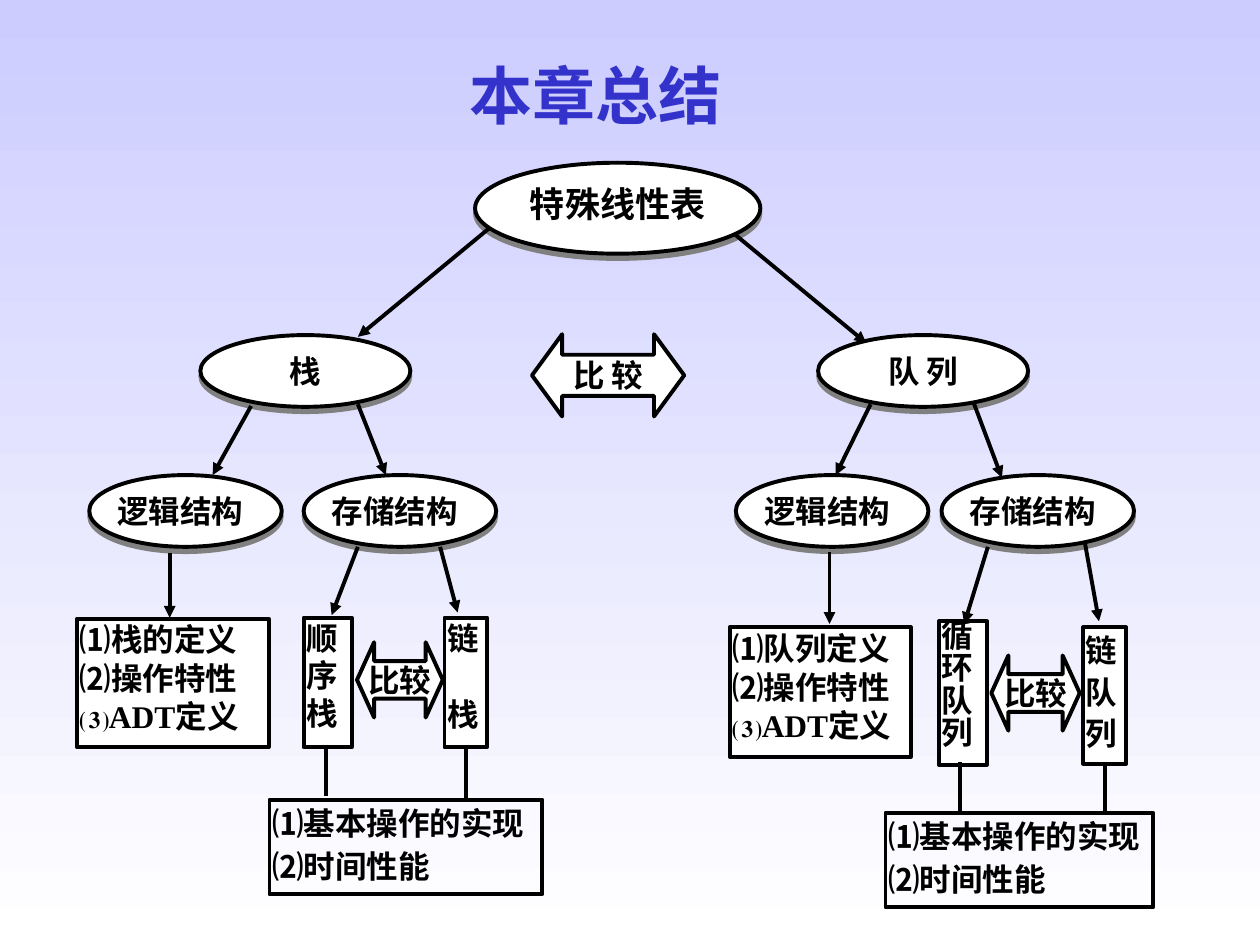
from lxml import etree
from pptx import Presentation
from pptx.dml.color import RGBColor
from pptx.enum import shapes, text
from pptx.oxml import parse_xml
from pptx.oxml.ns import nsdecls, qn
from pptx.util import Pt

BLACK = RGBColor(0x00, 0x00, 0x00)
WHITE = RGBColor(0xFF, 0xFF, 0xFF)
LAVENDER = RGBColor(0xCC, 0xCC, 0xFF)
TITLE_BLUE = RGBColor(0x33, 0x33, 0xCC)
SHADOW_GRAY = RGBColor(0x80, 0x80, 0x80)
FONT = "Times New Roman"
LINE_WIDTH = 2.25
LEFT, CENTER = text.PP_ALIGN.LEFT, text.PP_ALIGN.CENTER
TOP, MIDDLE = text.MSO_ANCHOR.TOP, text.MSO_ANCHOR.MIDDLE
KIND = shapes.MSO_SHAPE


def shadow_effect(distance, degrees):
    return parse_xml(
        f'<a:effectLst {nsdecls("a")}><a:outerShdw dist="{Pt(distance)}" '
        f'dir="{degrees * 60000}" algn="ctr" rotWithShape="0">'
        f'<a:srgbClr val="{SHADOW_GRAY}"/></a:outerShdw></a:effectLst>')


def write(shape, lines, size=18, color=BLACK, align=LEFT, anchor=TOP,
          inset=(1.5, 0.5), spacing=None, gap=0, wrap=True):
    frame = shape.text_frame
    frame.word_wrap = wrap
    frame.vertical_anchor = anchor
    frame.margin_left = frame.margin_right = Pt(inset[0])
    frame.margin_top = frame.margin_bottom = Pt(inset[1])
    for index, line in enumerate(lines):
        para = frame.add_paragraph() if index else frame.paragraphs[0]
        para.text = line
        para.alignment = align
        if spacing:
            para.line_spacing = spacing
        if index and gap:
            para.space_before = Pt(gap)
        font = para.font
        font.name, font.size, font.bold = FONT, Pt(size), True
        font.color.rgb = color


def add_node(page, kind, box, lines, filled=True, **style):
    shape = page.shapes.add_shape(kind, *map(Pt, box))
    shape.shadow.inherit = False
    if filled:
        shape.fill.solid()
        shape.fill.fore_color.rgb = WHITE
    else:
        shape.fill.background()
    shape.line.color.rgb = BLACK
    shape.line.width = Pt(LINE_WIDTH)
    write(shape, lines, **style)
    return shape


def add_ellipse(page, box, label, **style):
    shape = add_node(page, KIND.OVAL, box, [label], **style)
    properties = shape._element.spPr
    properties.replace(properties.find(qn("a:effectLst")), shadow_effect(3, 90))


def add_compare(page, box, label, head):
    arrow = add_node(page, KIND.LEFT_RIGHT_ARROW, box, [label], align=CENTER,
                     anchor=MIDDLE, inset=(0, 0), wrap=False)
    arrow.adjustments[0], arrow.adjustments[1] = 0.5, head


def add_link(page, x1, y1, x2, y2, arrow=True):
    link = page.shapes.add_connector(shapes.MSO_CONNECTOR.STRAIGHT,
                                     Pt(x1), Pt(y1), Pt(x2), Pt(y2))
    link.line.color.rgb = BLACK
    link.line.width = Pt(LINE_WIDTH)
    if arrow:
        etree.SubElement(link.line._get_or_add_ln(), qn("a:tailEnd"), type="triangle")
    etree.SubElement(link._element.spPr, qn("a:effectLst"))


def add_title(page, left, top, width, height):
    box = page.shapes.add_textbox(Pt(left), Pt(top), Pt(width), Pt(height))
    write(box, ["本章总结"], size=36, color=TITLE_BLUE, align=CENTER, inset=(7.2, 3.6))
    span = box.text_frame.paragraphs[0].runs[0]
    span.font.color.rgb = TITLE_BLUE
    span.font._element.find(qn("a:solidFill")).addnext(shadow_effect(2, 45))


def add_overview(page, left, top):
    """Root of the tree, the links to both branches and their comparison."""
    add_ellipse(page, (left, top, 163, 52), "特殊线性表", size=20, align=CENTER,
                inset=(7.2, 3.6))
    add_link(page, left + 8, top + 37.5, left - 67, top + 99.5)
    add_link(page, left + 148.5, top + 41, left + 223.5, top + 103)
    add_compare(page, (left + 32.5, top + 98, 87, 47), "比 较", 0.367)


def add_branch(page, left, top, branch):
    """One data structure: its ellipses, boxes and links."""
    def place(x, y, width, height):
        return left + x, top + y, width, height

    # Ellipses
    add_ellipse(page, place(branch["root_x"], 0.5, 120, 41), branch["name"],
                align=CENTER, inset=(7.2, 3.6))
    for x, label in zip(branch["aspect_x"], ("逻辑结构", "存储结构")):
        add_ellipse(page, place(x, 80.5, 110, 41), label, inset=(0, 3.6))

    # Definition and the two storage forms
    add_node(page, KIND.RECTANGLE, place(*branch["definition"]),
             [f"⑴{branch['subject']}定义", "⑵操作特性", "⑶ADT定义"], spacing=1.02)
    for box, lines, style in branch["forms"]:
        add_node(page, KIND.RECTANGLE, place(*box), lines, **style)

    # Links
    for links, arrow in ((branch["arrows"], True), (branch["stems"], False)):
        for x1, y1, x2, y2 in links:
            add_link(page, left + x1, top + y1, left + x2, top + y2, arrow)

    # Comparison and operations
    add_compare(page, place(*branch["compare"]), "比较", 0.227)
    add_node(page, KIND.RECTANGLE, place(*branch["operations"]),
             ["⑴基本操作的实现", "⑵时间性能"], filled=False,
             inset=(1.5, 0), spacing=1.12)


STACK = {
    "name": "栈", "subject": "栈的", "root_x": 70.5, "aspect_x": (7, 129.5),
    "definition": (0, 162.5, 109.5, 73.5),
    "forms": [((129.5, 162, 27.5, 74), ["顺序栈"], {}),
              ((210, 162, 24.5, 74), ["链", "栈"], {"gap": 22})],
    "arrows": [(99.5, 41, 77.5, 80.5), (160.5, 40, 176.5, 80.5),
               (53, 125, 53, 162), (160.5, 121.5, 145.5, 160.5),
               (207.5, 121.5, 217.5, 159)],
    "stems": [(142.5, 234.5, 142.5, 264), (222.5, 236, 222.5, 265.5)],
    "compare": (160, 176, 49, 43), "operations": (110, 266, 156, 54),
}
QUEUE = {
    "name": "队 列", "subject": "队列", "root_x": 50.5, "aspect_x": (3.5, 121),
    "definition": (0, 167.5, 103.5, 74),
    "forms": [((119.5, 164, 27.5, 82), ["循环队列"], {"inset": (1.5, 0), "spacing": 0.86}),
              ((202, 167.5, 24.5, 78), ["链队列"], {"inset": (1.5, 0), "spacing": 1.1})],
    "arrows": [(80.5, 40, 60.5, 80.5), (139.5, 39.5, 155.5, 82),
               (57, 124.5, 57, 165.5), (147.5, 121.5, 134, 165.5),
               (203, 119.5, 211, 164)],
    "stems": [(131.5, 244.5, 131.5, 273.5), (214.5, 244.5, 214.5, 273.5)],
    "compare": (149.5, 183.5, 50.5, 43), "operations": (89, 273.5, 153, 54),
}


def main():
    deck = Presentation()
    deck.slide_width, deck.slide_height = Pt(720), Pt(540)
    page = deck.slides.add_slide(deck.slide_layouts[6])

    # Background, lavender fading down to white
    fill = page.background.fill
    fill.gradient()
    fill.gradient_angle = 270
    for stop, color, position in zip(fill.gradient_stops, (LAVENDER, WHITE), (0, 1)):
        stop.color.rgb = color
        stop.position = position

    add_title(page, 211, 29, 259, 50)
    add_overview(page, 271.5, 93)
    add_branch(page, 44, 191, STACK)
    add_branch(page, 417, 191, QUEUE)
    deck.save("out.pptx")


if __name__ == "__main__":
    main()
